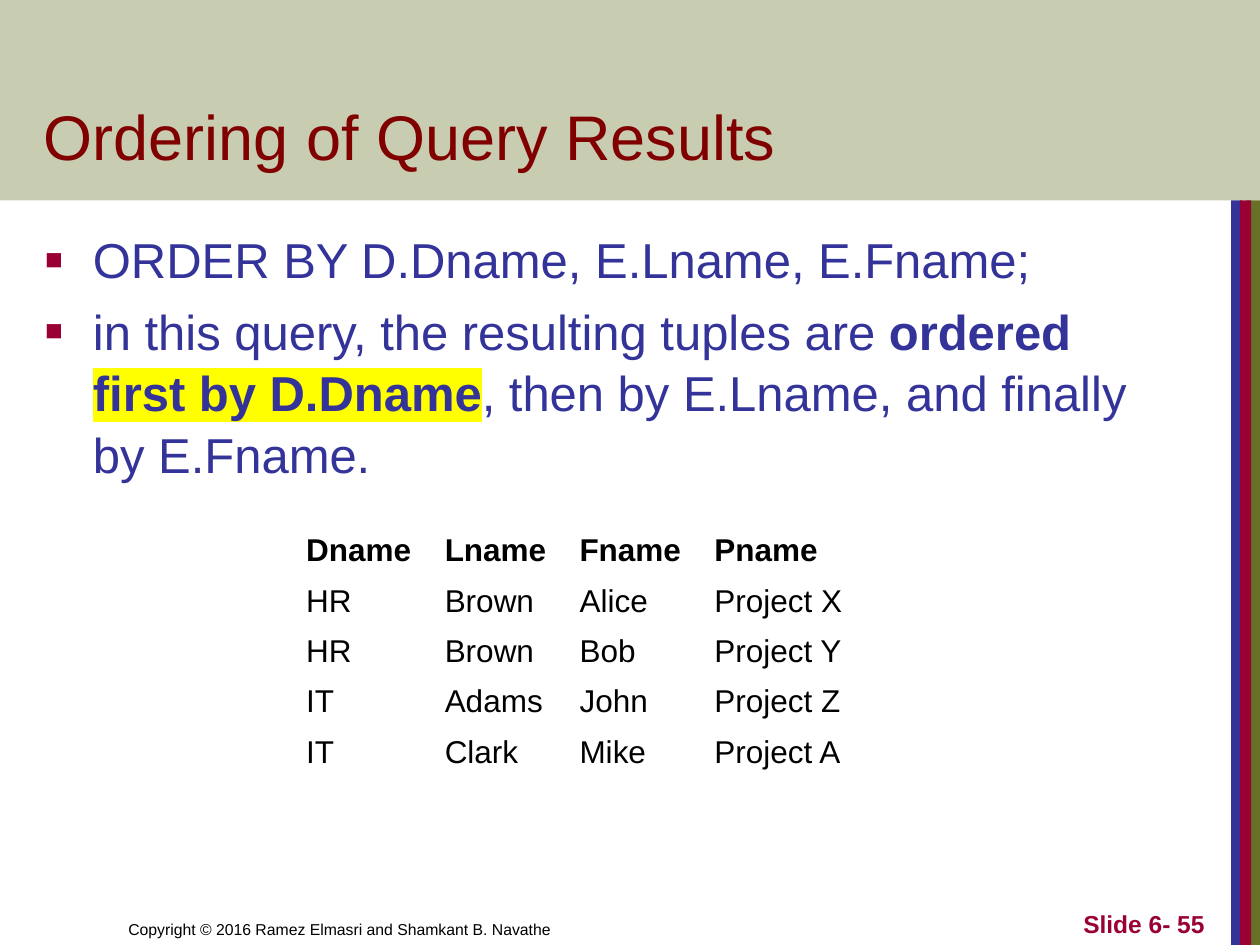
from dataclasses import dataclass

from lxml.etree import SubElement
from pptx import Presentation
from pptx.dml.color import RGBColor as RGB
from pptx.enum.shapes import MSO_SHAPE as Shape
from pptx.enum.text import MSO_ANCHOR as Anchor, PP_ALIGN as Align
from pptx.oxml.ns import qn
from pptx.util import Inches, Pt


@dataclass(frozen=True)
class Theme:
    font: str = "Arial"
    olive: RGB = RGB(0x67, 0x72, 0x28)
    blue: RGB = RGB(0x33, 0x33, 0x99)
    crimson: RGB = RGB(0x99, 0x00, 0x33)
    maroon: RGB = RGB(0x80, 0x00, 0x00)
    black: RGB = RGB(0, 0, 0)
    yellow: RGB = RGB(0xFF, 0xFF, 0x00)
    title: int = 36
    body: int = 28
    table: int = 18
    number: int = 14
    copyright: int = 9


THEME = Theme()

BULLETS = [
    [("ORDER BY D.Dname, E.Lname, E.Fname;", False, False)],
    [
        ("in this query, the resulting tuples are ", False, False),
        ("ordered ", True, False),
        ("first by D.Dname", True, True),
        (", then by E.Lname, and finally by E.Fname.", False, False),
    ],
]

ROWS = [
    ("Dname", "Lname", "Fname", "Pname"),
    ("HR", "Brown", "Alice", "Project X"),
    ("HR", "Brown", "Bob", "Project Y"),
    ("IT", "Adams", "John", "Project Z"),
    ("IT", "Clark", "Mike", "Project A"),
]
COLUMN_WIDTHS = (1.1, 1.07, 1.07, 2.27)


def set_font(para, size, color, bold=False):
    para.font.name = THEME.font
    para.font.size = Pt(size)
    para.font.bold = bold
    para.font.color.rgb = color


def add_block(page, box, color):
    block = page.shapes.add_shape(Shape.RECTANGLE, *map(Inches, box))
    block.shadow.inherit = False
    block.fill.solid()
    block.fill.fore_color.rgb = color
    block.line.fill.background()
    return block


def add_frame(page, box, anchor):
    frame = page.shapes.add_textbox(*map(Inches, box)).text_frame
    frame.word_wrap = True
    frame.vertical_anchor = anchor
    return frame


def add_label(page, box, text, size, color, bold=False, align=Align.LEFT):
    """Place one line of text at the bottom of the box."""
    para = add_frame(page, box, Anchor.BOTTOM).paragraphs[0]
    para.text = text
    para.alignment = align
    set_font(para, size, color, bold)


def add_side_stripes(page, box):
    left, top, width, height = box
    for offset, stripe, color in (
        (0.12, width - 0.12, THEME.olive),
        (0, 0.09, THEME.blue),
        (0.07, 0.09, THEME.crimson),
    ):
        add_block(page, (left + offset, top, stripe, height), color)


def add_header_band(page, box):
    band = add_block(page, box, THEME.olive)
    color = band.fill._xPr.find(qn("a:solidFill"))[0]
    SubElement(color, qn("a:alpha"), val="36000")


def add_square_bullet(para):
    props = para._p.get_or_add_pPr()
    props.set("marL", str(Inches(0.38)))
    props.set("indent", str(-Inches(0.38)))
    color = SubElement(props, qn("a:buClr"))
    SubElement(color, qn("a:srgbClr"), val=str(THEME.crimson))
    SubElement(props, qn("a:buSzPct"), val="60000")
    SubElement(props, qn("a:buFont"), typeface=THEME.font)
    SubElement(props, qn("a:buChar"), char="■")


def add_bullets(page, box):
    frame = add_frame(page, box, Anchor.TOP)
    frame.margin_right = 0
    for index, spans in enumerate(BULLETS):
        para = frame.add_paragraph() if index else frame.paragraphs[0]
        add_square_bullet(para)
        para.line_spacing = 1.05
        if index:
            para.space_before = Pt(0.2 * THEME.body)
        set_font(para, THEME.body, THEME.blue)
        for text, bold, marked in spans:
            span = para.add_run()
            span.text = text
            if bold:
                span.font.bold = True
            if marked:
                mark = SubElement(span._r.get_or_add_rPr(), qn("a:highlight"))
                SubElement(mark, qn("a:srgbClr"), val=str(THEME.yellow))


def add_result_table(page, box):
    table = page.shapes.add_table(
        len(ROWS), len(COLUMN_WIDTHS), *map(Inches, box)).table
    table.horz_banding = False
    table.first_row = False
    style = table._tbl.tblPr.find(qn("a:tableStyleId"))
    style.text = "{2D5ABB26-0587-4C30-8999-92F81FD0307C}"  # no style, no grid
    for column, width in zip(table.columns, COLUMN_WIDTHS):
        column.width = Inches(width)
    for row_index, row in enumerate(ROWS):
        for column_index, text in enumerate(row):
            cell = table.cell(row_index, column_index)
            cell.fill.background()
            cell.vertical_anchor = Anchor.MIDDLE
            para = cell.text_frame.paragraphs[0]
            para.text = text
            set_font(para, THEME.table, THEME.black, bold=row_index == 0)


def add_footer(page, box):
    left, top, width, height = box
    add_label(page, (left, top, 4.92, height),
              "Copyright © 2016 Ramez Elmasri and Shamkant B. Navathe",
              THEME.copyright, THEME.black)
    add_label(page, (left + width - 2.08, top, 2.08, height), "Slide 6- 55",
              THEME.number, THEME.crimson, bold=True, align=Align.RIGHT)


def main():
    deck = Presentation()
    deck.slide_width, deck.slide_height = Inches(10), Inches(7.5)
    page = deck.slides.add_slide(deck.slide_layouts[6])
    add_side_stripes(page, (9.77, 1.59, 0.23, 5.91))
    add_header_band(page, (0, 0, 10, 1.59))
    add_label(page, (0.25, 0.33, 8.53, 1.09), "Ordering of Query Results",
              THEME.title, THEME.maroon)
    add_bullets(page, (0.26, 1.75, 9.07, 5))
    add_result_table(page, (2.33, 4.17, 5.52, 2))
    add_footer(page, (0.92, 7, 8.74, 0.5))
    deck.save("out.pptx")


if __name__ == "__main__":
    main()
